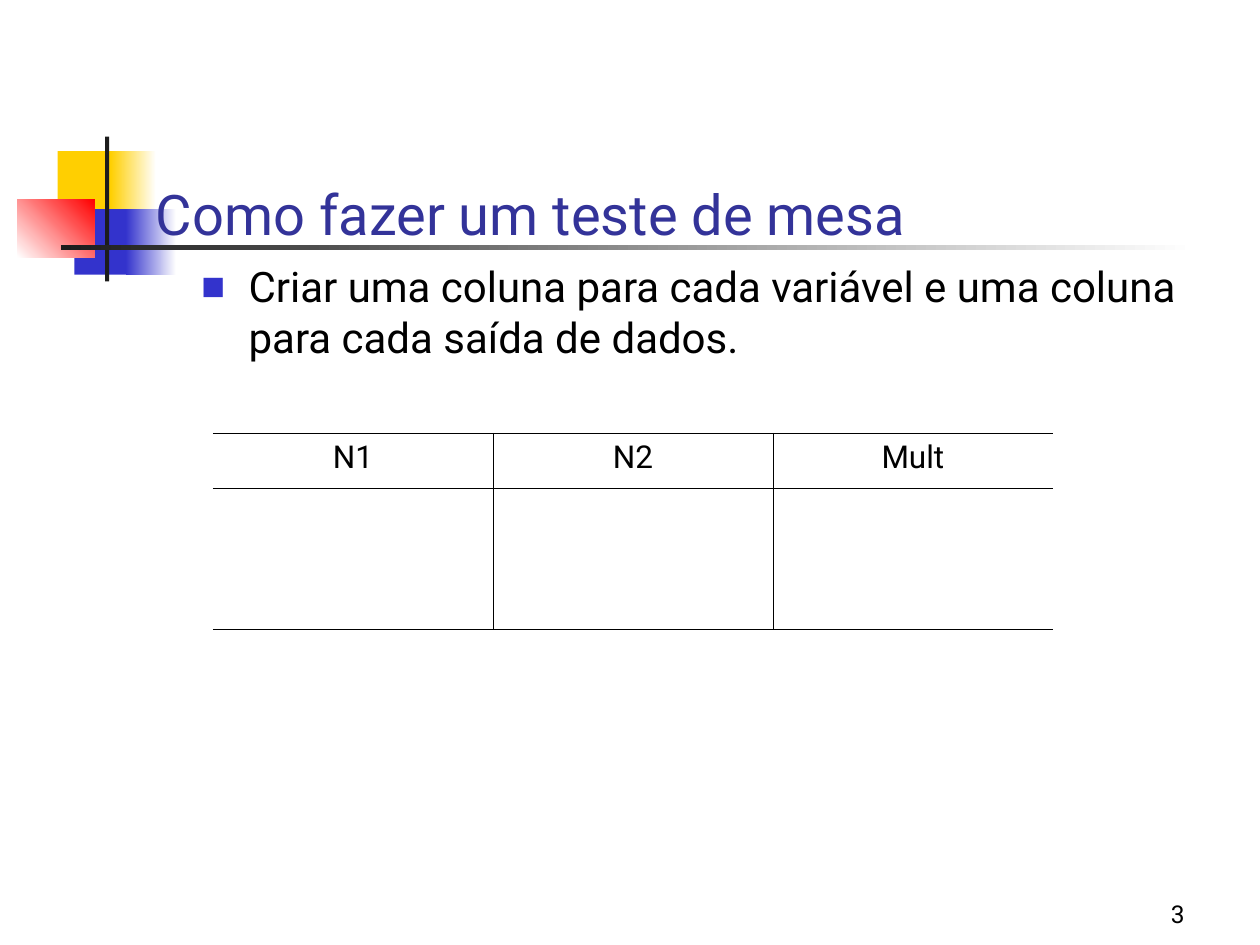
from lxml.etree import SubElement
from pptx import Presentation
from pptx.dml.color import RGBColor
from pptx.enum.shapes import MSO_SHAPE as Shape
from pptx.enum.text import MSO_ANCHOR as Anchor, PP_ALIGN as Align
from pptx.oxml.ns import qn
from pptx.util import Pt

FONT = "Roboto"
WHITE = RGBColor(0xFF, 0xFF, 0xFF)
BLACK = RGBColor(0x00, 0x00, 0x00)
YELLOW = RGBColor(0xFF, 0xCF, 0x01)
BLUE = RGBColor(0x33, 0x33, 0xCC)
RED = RGBColor(0xFF, 0x00, 0x00)
CHARCOAL = RGBColor(0x1C, 0x1C, 0x1C)
NAVY = RGBColor(0x33, 0x33, 0x99)

# Left, top, width, height, colours (two make a gradient), gradient angle
ORNAMENT = [
    (33, 86.4, 34.8, 37.4, (YELLOW,), 0),
    (63.2, 86.4, 26, 37.4, (YELLOW, WHITE), 0),
    (42.5, 119.5, 33.2, 37.4, (BLUE,), 0),
    (72, 119.5, 28.8, 37.4, (BLUE, WHITE), 0),
    (10, 113.8, 44, 33.4, (WHITE, RED), 45),
    (60, 78, 2.4, 82.8, (CHARCOAL,), 0),
    (34.8, 140.2, 648, 2.4, (CHARCOAL, WHITE), 0),
]
HEADINGS = ["N1", "N2", "Mult"]
ROW_HEIGHTS = [31.6, 80.4]


def add_block(page, left, top, width, height, colours, angle):
    block = page.shapes.add_shape(
        Shape.RECTANGLE, Pt(left), Pt(top), Pt(width), Pt(height))
    block.shadow.inherit = False
    block.line.fill.background()
    if len(colours) == 1:
        block.fill.solid()
        block.fill.fore_color.rgb = colours[0]
        return
    block.fill.gradient()
    block.fill.gradient_angle = angle
    for stop, colour, position in zip(block.fill.gradient_stops, colours, (0, 1)):
        stop.color.rgb = colour
        stop.position = position


def add_span(para, text, size, colour=BLACK):
    span = para.add_run()
    span.text = text
    span.font.name = FONT
    span.font.size = Pt(size)
    span.font.color.rgb = colour


def add_text(page, left, top, width, height, text, size,
             colour=BLACK, anchor=Anchor.TOP, align=Align.LEFT):
    box = page.shapes.add_textbox(Pt(left), Pt(top), Pt(width), Pt(height))
    frame = box.text_frame
    frame.word_wrap = True
    frame.vertical_anchor = anchor
    para = frame.paragraphs[0]
    para.alignment = align
    add_span(para, text, size, colour)
    return para


def add_bullet(para, colour, indent):
    para.space_before = Pt(6)
    props = para._p.get_or_add_pPr()
    props.set("marL", str(Pt(indent)))
    props.set("indent", str(-Pt(indent)))
    SubElement(SubElement(props, qn("a:buClr")), qn("a:srgbClr"), val=str(colour))
    SubElement(props, qn("a:buSzPct"), val="60000")
    SubElement(props, qn("a:buFont"), typeface=FONT)
    SubElement(props, qn("a:buChar"), char="■")


def set_border(cell, side, visible):
    line = SubElement(cell._tc.get_or_add_tcPr(), qn(f"a:ln{side}"), w=str(Pt(0.45)))
    if visible:
        fill = SubElement(line, qn("a:solidFill"))
        SubElement(fill, qn("a:srgbClr"), val=str(BLACK))
    else:
        SubElement(line, qn("a:noFill"))


def add_trace_table(page, left, top, width):
    last = len(HEADINGS) - 1
    table = page.shapes.add_table(
        len(ROW_HEIGHTS), len(HEADINGS), Pt(left), Pt(top),
        Pt(width), Pt(sum(ROW_HEIGHTS))).table
    table.first_row = False
    table.horz_banding = False
    for row, height in zip(table.rows, ROW_HEIGHTS):
        row.height = Pt(height)
        for index, cell in enumerate(row.cells):
            # The outer left and right edges stay open
            borders = {"L": index > 0, "R": index < last, "T": True, "B": True}
            for side, visible in borders.items():
                set_border(cell, side, visible)
            cell.fill.background()
    for cell, heading in zip(table.rows[0].cells, HEADINGS):
        para = cell.text_frame.paragraphs[0]
        para.alignment = Align.CENTER
        add_span(para, heading, 18)


def main():
    deck = Presentation()
    deck.slide_width, deck.slide_height = Pt(720), Pt(540)
    page = deck.slides.add_slide(deck.slide_layouts[6])

    # Corner ornament and title rule
    for block in ORNAMENT:
        add_block(page, *block)

    # Title, instruction and page number
    add_text(page, 82, 54.8, 613.4, 90, "Como fazer um teste de mesa", 32,
             NAVY, Anchor.BOTTOM)
    instruction = add_text(
        page, 108, 145.5, 612, 324,
        "Criar uma coluna para cada variável e uma coluna para cada saída de dados.", 24)
    add_bullet(instruction, BLUE, 27)
    add_text(page, 534, 498, 150, 36, "3", 14,
             anchor=Anchor.BOTTOM, align=Align.RIGHT)

    # Table for tracing the variables
    add_trace_table(page, 121.7, 247.6, 480)

    deck.save("out.pptx")


if __name__ == "__main__":
    main()
